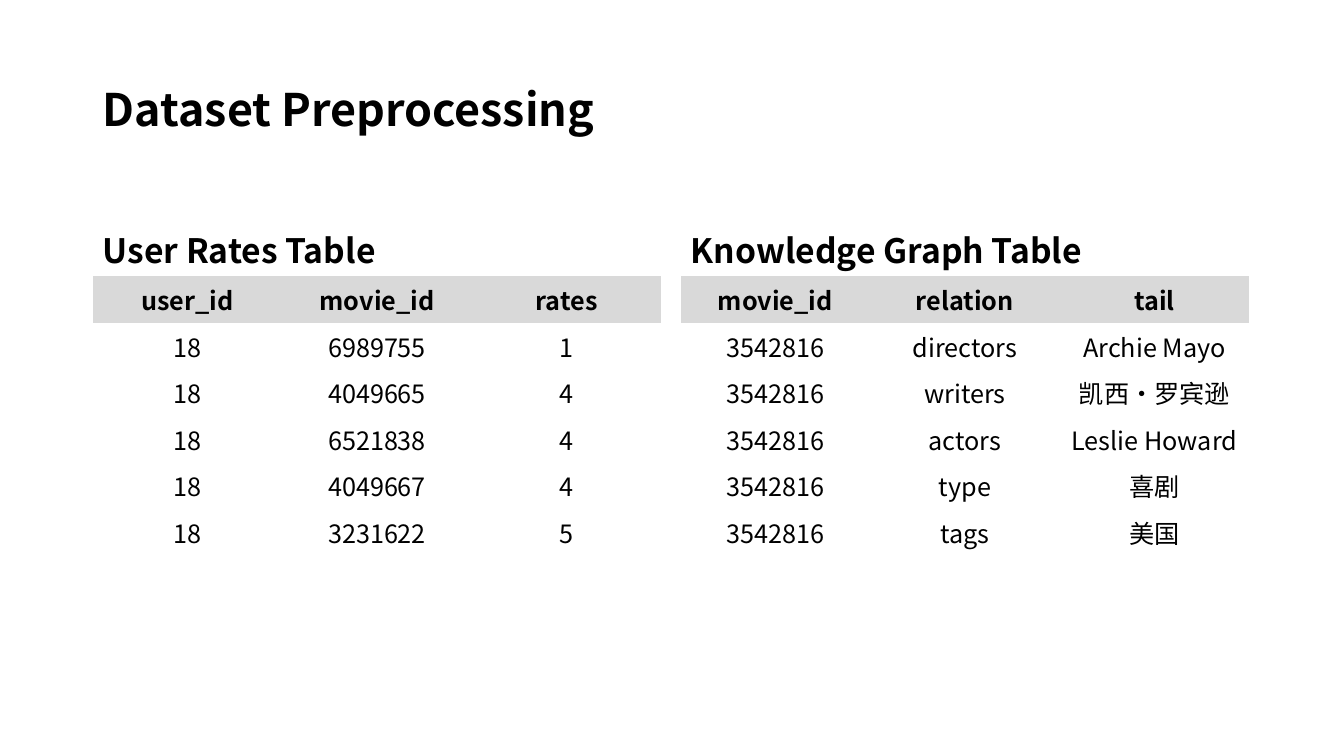
from lxml.etree import SubElement
from pptx import Presentation
from pptx.dml.color import RGBColor
from pptx.enum.text import MSO_ANCHOR, MSO_AUTO_SIZE, PP_ALIGN
from pptx.oxml.ns import qn
from pptx.util import Inches, Pt

BLACK = RGBColor(0x00, 0x00, 0x00)
HEADER_GREY = RGBColor(0xD9, 0xD9, 0xD9)
FONT = "Noto Sans CJK SC"
PLAIN_TABLE_STYLE = "{2D5ABB26-0587-4C30-8999-92F81FD0307C}"

HEADING_TOP, HEADING_HEIGHT = 1.84, 0.9
TABLE_TOP = HEADING_TOP + HEADING_HEIGHT
TABLE_WIDTH, ROW_HEIGHT = 5.64, 0.41

USER_RATES = [
    ("user_id", "movie_id", "rates"),
    ("18", "6989755", "1"),
    ("18", "4049665", "4"),
    ("18", "6521838", "4"),
    ("18", "4049667", "4"),
    ("18", "3231622", "5"),
]
KNOWLEDGE_GRAPH = [
    ("movie_id", "relation", "tail"),
    ("3542816", "directors", "Archie Mayo"),
    ("3542816", "writers", "凯西·罗宾逊"),
    ("3542816", "actors", "Leslie Howard"),
    ("3542816", "type", "喜剧"),
    ("3542816", "tags", "美国"),
]


class ComparisonPage:
    def __init__(self, deck):
        self.page = deck.slides.add_slide(deck.slide_layouts[4])
        self.boxes = {box.placeholder_format.idx: box for box in self.page.placeholders}

    def add_text(self, para, text, size, bold, **layout):
        for name, value in layout.items():
            setattr(para, name, value)
        span = para.add_run()
        span.text = text
        for name, value in {"name": FONT, "size": Pt(size), "bold": bold}.items():
            setattr(span.font, name, value)
        span.font.color.rgb = BLACK
        SubElement(span.font._element, qn("a:ea"), typeface=FONT)

    def heading(self, index, text, place, size, anchor, **layout):
        box = self.boxes[index]
        for name, value in zip(("left", "top", "width", "height"), place):
            setattr(box, name, Inches(value))
        frame = box.text_frame
        settings = {
            "vertical_anchor": anchor,
            "auto_size": MSO_AUTO_SIZE.NONE,
            "word_wrap": True,
        }
        for name, value in settings.items():
            setattr(frame, name, value)
        self.add_text(frame.paragraphs[0], text, size, True,
                      alignment=PP_ALIGN.LEFT, line_spacing=0.9, **layout)

    def table(self, rows, left):
        table = self.page.shapes.add_table(
            len(rows), len(rows[0]), Inches(left), Inches(TABLE_TOP),
            Inches(TABLE_WIDTH), Inches(ROW_HEIGHT * len(rows))).table
        table.horz_banding = False
        table._tbl.tblPr.find(qn("a:tableStyleId")).text = PLAIN_TABLE_STYLE
        for row, values in enumerate(rows):
            for column, value in enumerate(values):
                cell = table.cell(row, column)
                if row == 0:
                    cell.fill.solid()
                    cell.fill.fore_color.rgb = HEADER_GREY
                else:
                    cell.fill.background()
                self.add_text(cell.text_frame.paragraphs[0], value, 18, row == 0,
                              alignment=PP_ALIGN.CENTER)

    def section(self, index, title, rows, left, width):
        self.heading(index, title, (left, HEADING_TOP, width, HEADING_HEIGHT),
                     24, MSO_ANCHOR.BOTTOM, space_before=Pt(10))
        self.table(rows, left)

    def remove_empty_boxes(self):
        for box in self.boxes.values():
            if not box.text_frame.text:
                box._element.getparent().remove(box._element)


def main():
    deck = Presentation()
    deck.slide_width, deck.slide_height = Inches(13.33), Inches(7.5)
    page = ComparisonPage(deck)
    page.heading(0, "Dataset Preprocessing", (0.92, 0.39, 11.5, 1.45),
                 32, MSO_ANCHOR.MIDDLE)
    page.section(1, "User Rates Table", USER_RATES, 0.92, 5.64)
    page.section(3, "Knowledge Graph Table", KNOWLEDGE_GRAPH, 6.75, 5.67)
    page.remove_empty_boxes()
    deck.save("out.pptx")


if __name__ == "__main__":
    main()
